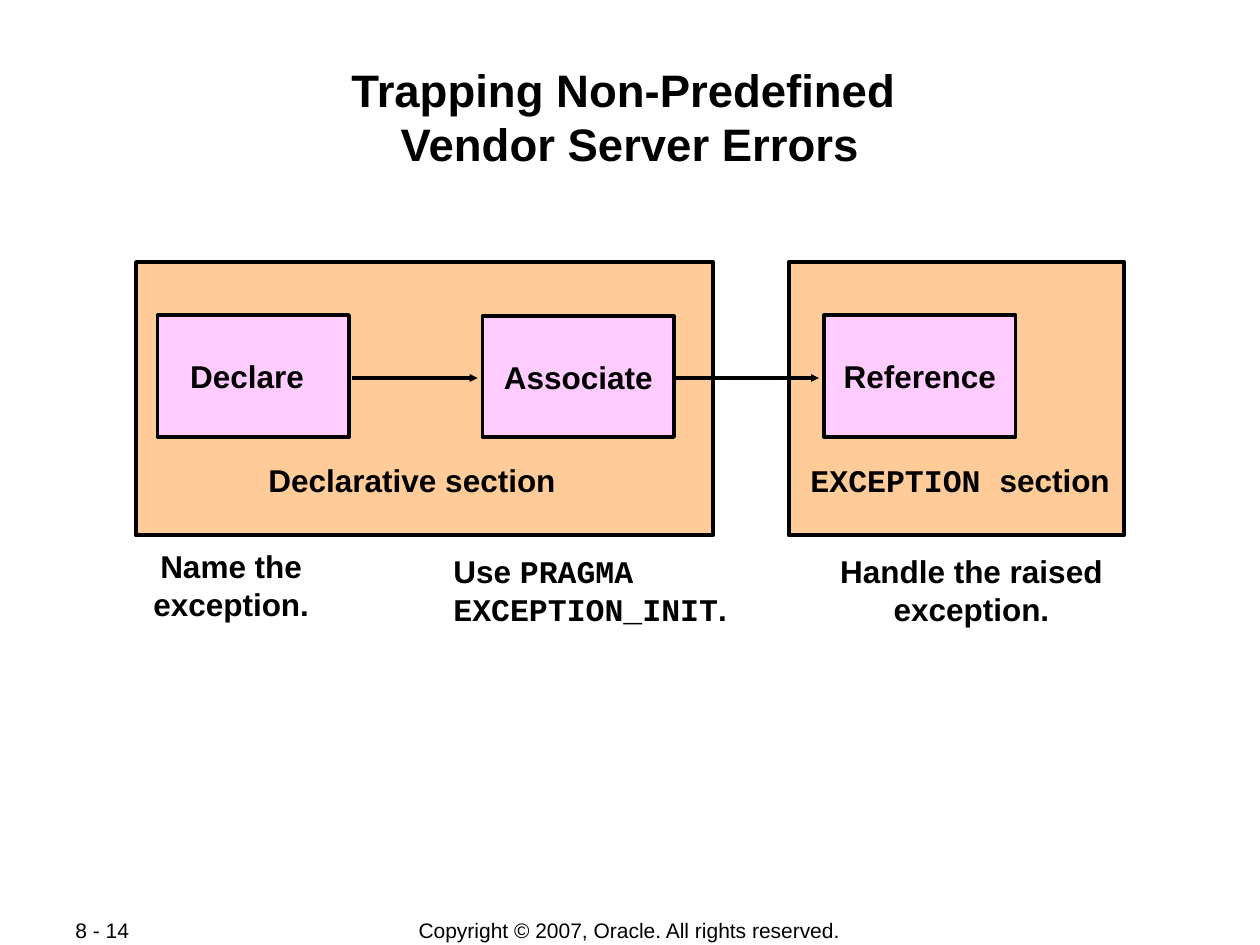
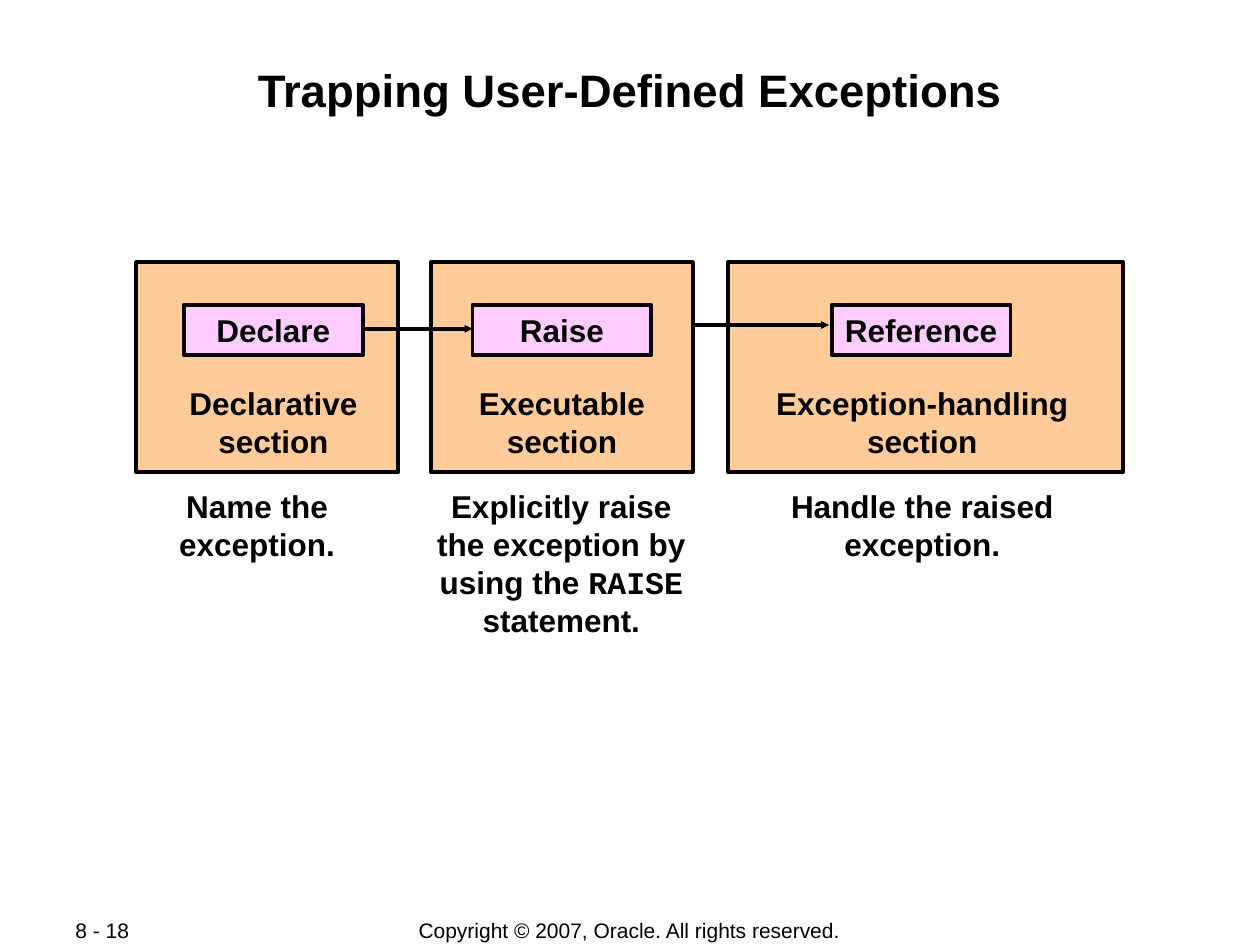
from dataclasses import dataclass

import lxml.etree
import pptx
import pptx.dml.color
import pptx.enum.shapes
import pptx.enum.text
import pptx.oxml.ns
import pptx.util

PX = 9144
COLORS = {"ink": "000000", "section": "FFCC99", "step": "FFCCFF"}
BODY_FONT, CODE_FONT = "Arial", "Courier New"
ALIGN = pptx.enum.text.PP_ALIGN
ANCHOR = pptx.enum.text.MSO_ANCHOR
COPYRIGHT = "Copyright © 2007, Oracle. All rights reserved."
SECTION_TOP = 208


@dataclass(frozen=True)
class Box:
    left: int
    top: int
    width: int
    height: int

    def emu(self) -> tuple[int, ...]:
        return tuple(v * PX for v in (self.left, self.top, self.width, self.height))


@dataclass(frozen=True)
class Section:
    left: int
    width: int
    caption: str
    caption_box: Box


@dataclass(frozen=True)
class Step:
    box: Box
    name: str
    right_inset: int = 0


@dataclass(frozen=True)
class Note:
    box: Box
    text: str
    align: ALIGN = ALIGN.CENTER


@dataclass(frozen=True)
class Arrow:
    start: int
    end: int
    y: int


@dataclass(frozen=True)
class Diagram:
    title: str
    page: str
    section_height: int
    step_line: float
    sections: list[Section]
    arrows: list[Arrow]
    steps: list[Step]
    notes: list[Note]


def color(key: str) -> pptx.dml.color.RGBColor:
    return pptx.dml.color.RGBColor.from_string(COLORS[key])


def write(frame, text: str, *, size: int = 18, bold: bool = True, align=ALIGN.CENTER,
          anchor=ANCHOR.TOP, wrap: bool = True, insets=(10, 5, 10, 5)) -> None:
    frame.word_wrap = wrap
    frame.vertical_anchor = anchor
    frame.margin_left, frame.margin_top, frame.margin_right, frame.margin_bottom = (
        inset * PX for inset in insets)
    paragraph = frame.paragraphs[0]
    paragraph.alignment = align
    for line_number, line in enumerate(text.split("\n")):
        if line_number:
            paragraph.add_line_break()
        for index, part in enumerate(line.split("`")):
            if part:
                run = paragraph.add_run()
                run.text = part
                run.font.name = CODE_FONT if index % 2 else BODY_FONT
                run.font.size = pptx.util.Pt(size)
                run.font.bold = bold
                run.font.color.rgb = color("ink")


def add_text(slide, box: Box, text: str, **style) -> None:
    write(slide.shapes.add_textbox(*box.emu()).text_frame, text, **style)


def add_panel(slide, box: Box, fill: str, line_width: float):
    panel = slide.shapes.add_shape(pptx.enum.shapes.MSO_SHAPE.RECTANGLE, *box.emu())
    panel.shadow.inherit = False
    panel.fill.solid()
    panel.fill.fore_color.rgb = color(fill)
    panel.line.color.rgb = color("ink")
    panel.line.width = pptx.util.Pt(line_width)
    return panel


def add_arrow(slide, arrow: Arrow) -> None:
    connector = slide.shapes.add_connector(
        pptx.enum.shapes.MSO_CONNECTOR.STRAIGHT,
        arrow.start * PX, arrow.y * PX, arrow.end * PX, arrow.y * PX)
    connector.line.color.rgb = color("ink")
    connector.line.width = pptx.util.Pt(2.25)
    qn = pptx.oxml.ns.qn
    lxml.etree.SubElement(connector.line._get_or_add_ln(), qn("a:tailEnd"),
                          type="triangle", w="sm", len="sm")
    lxml.etree.SubElement(connector._element.spPr, qn("a:effectLst"))


def add_frame(slide, title: str, page: str) -> None:
    footer = dict(size=12, bold=False, anchor=ANCHOR.MIDDLE, wrap=False)
    add_text(slide, Box(275, 728, 449, 21), COPYRIGHT, **footer)
    add_text(slide, Box(50, 728, 106, 20), page, align=ALIGN.LEFT, **footer)
    add_text(slide, Box(67, 48, 866, 96), title, size=26, insets=(1, 1, 1, 1))


def draw(presentation, diagram: Diagram) -> None:
    slide = presentation.slides.add_slide(presentation.slide_layouts[6])
    add_frame(slide, diagram.title, diagram.page)
    for section in diagram.sections:
        area = Box(section.left, SECTION_TOP, section.width, diagram.section_height)
        add_panel(slide, area, "section", 2.25)
        add_text(slide, section.caption_box, section.caption, wrap=False)
    for arrow in diagram.arrows:
        add_arrow(slide, arrow)
    for step in diagram.steps:
        panel = add_panel(slide, step.box, "step", diagram.step_line)
        write(panel.text_frame, step.name, anchor=ANCHOR.MIDDLE, wrap=False,
              insets=(0, 0, step.right_inset, 0))
    for note in diagram.notes:
        add_text(slide, note.box, note.text, align=note.align)


NON_PREDEFINED = Diagram(
    title="Trapping Non-Predefined \nVendor Server Errors",
    page="8 - 14",
    section_height=217,
    step_line=2,
    sections=[
        Section(108, 458, "Declarative section", Box(203, 361, 248, 40)),
        Section(626, 266, "`EXCEPTION `section", Box(633, 361, 258, 40)),
    ],
    arrows=[Arrow(279, 379, 300), Arrow(535, 650, 300)],
    steps=[
        Step(Box(125, 250, 152, 97), "Declare", right_inset=10),
        Step(Box(383, 251, 152, 96), "Associate"),
        Step(Box(654, 250, 152, 97), "Reference"),
    ],
    notes=[
        Note(Box(100, 429, 167, 76), "Name the\nexception."),
        Note(Box(350, 433, 250, 75), "Use `PRAGMA EXCEPTION_INIT`.", ALIGN.LEFT),
        Note(Box(650, 433, 242, 75), "Handle the raised exception."),
    ],
)

USER_DEFINED = Diagram(
    title="Trapping User-Defined Exceptions",
    page="8 - 18",
    section_height=167,
    step_line=2.25,
    sections=[
        Section(108, 208, "Declarative\nsection", Box(140, 300, 154, 70)),
        Section(342, 208, "Executable\nsection", Box(370, 300, 152, 70)),
        Section(578, 313, "Exception-handling\nsection", Box(606, 300, 252, 70)),
    ],
    arrows=[Arrow(283, 375, 261), Arrow(550, 658, 258)],
    steps=[
        Step(Box(left, 242, 142, 40), name)
        for left, name in [(146, "Declare"), (375, "Raise"), (660, "Reference")]
    ],
    notes=[
        Note(Box(108, 382, 192, 76), "Name the\nexception."),
        Note(Box(333, 382, 225, 150),
             "Explicitly raise the exception by using the `RAISE` statement."),
        Note(Box(589, 382, 286, 66), "Handle the raised exception."),
    ],
)


def main() -> None:
    presentation = pptx.Presentation()
    presentation.slide_width = 1000 * PX
    presentation.slide_height = 750 * PX
    for diagram in (NON_PREDEFINED, USER_DEFINED):
        draw(presentation, diagram)
    presentation.save("out.pptx")


if __name__ == "__main__":
    main()
